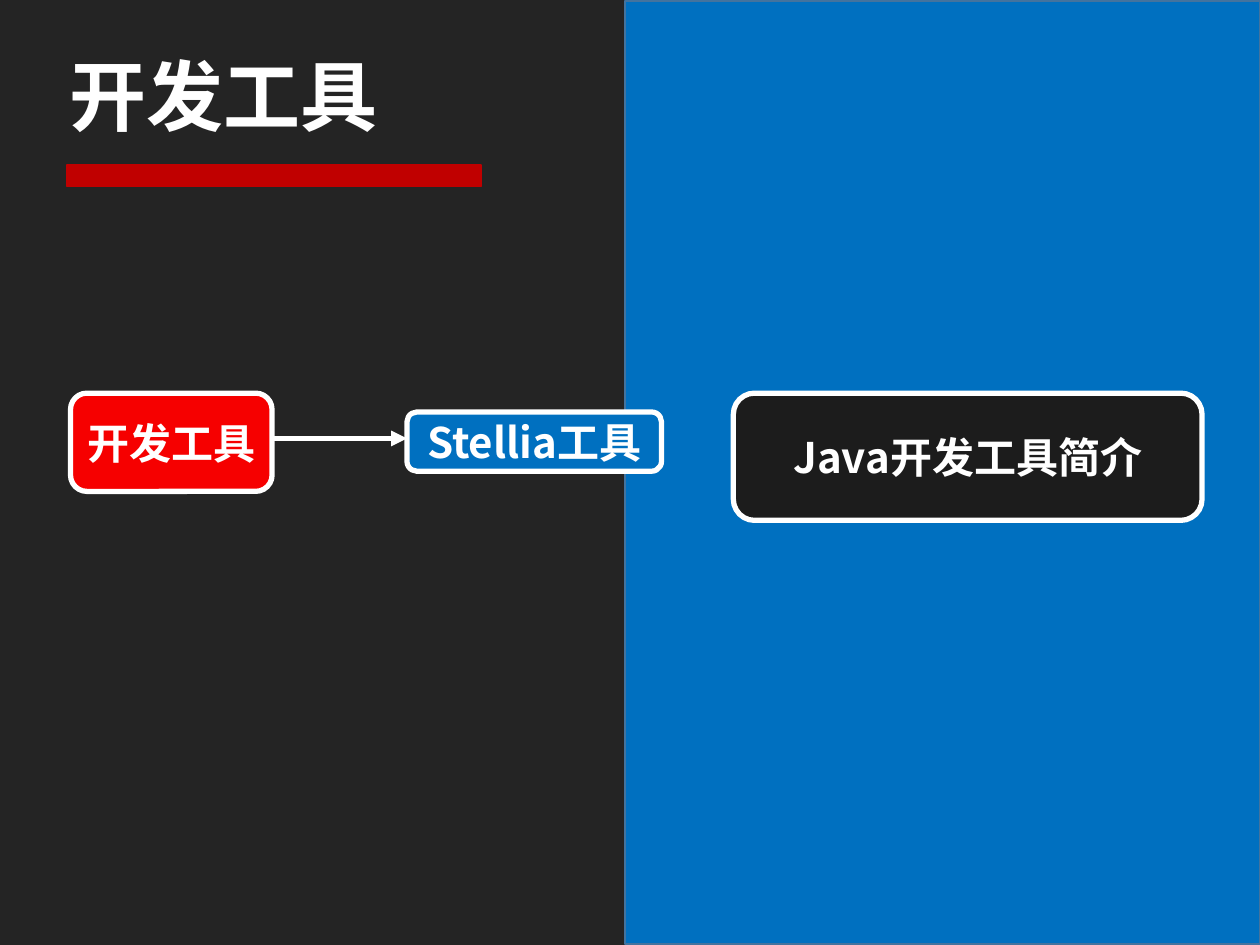
import pptx
import pptx.util
import pptx.dml.color
import pptx.enum.shapes
import pptx.enum.text
import pptx.oxml
import pptx.oxml.ns
from dataclasses import dataclass

WIDTH = pptx.util.Inches(10)
HEIGHT = pptx.util.Inches(7.5)
COLUMNS, ROWS = 100, 75
SHAPES = pptx.enum.shapes.MSO_SHAPE
ALIGN = pptx.enum.text.PP_ALIGN


@dataclass(frozen=True)
class Theme:
    font: str = "Noto Sans CJK SC"
    background: str = "242424"
    panel: str = "0070C0"
    panel_edge: str = "43739E"
    rule: str = "C00000"
    topic: str = "F60000"
    summary: str = "1C1C1C"
    light: str = "FFFFFF"
    title_size: int = 44
    label_size: int = 24
    thin: int = 1
    thick: int = 3


THEME = Theme()


def color(value):
    return pptx.dml.color.RGBColor.from_string(value)


def across(columns):
    return round(WIDTH * columns / COLUMNS)


def down(rows):
    return round(HEIGHT * rows / ROWS)


def area(left, top, width, height):
    return across(left), down(top), across(width), down(height)


def set_line(line, value, width):
    line.color.rgb = color(value)
    line.width = pptx.util.Pt(width)


def write(box, text, size, align):
    frame = box.text_frame
    frame.text = text
    frame.vertical_anchor = pptx.enum.text.MSO_ANCHOR.MIDDLE
    para = frame.paragraphs[0]
    para.alignment = align
    for span in para.runs:
        span.font.size = pptx.util.Pt(size)
        span.font.bold = True
        span.font.name = THEME.font
        span.font.color.rgb = color(THEME.light)
        east_asian = pptx.oxml.parse_xml(
            f'<a:ea {pptx.oxml.ns.nsdecls("a")} typeface="{THEME.font}"/>')
        span.font._element.find(pptx.oxml.ns.qn("a:latin")).addnext(east_asian)


def add_block(page, kind, place, fill, edge, width):
    box = page.shapes.add_shape(kind, *area(*place))
    box.shadow.inherit = False
    box.fill.solid()
    box.fill.fore_color.rgb = color(fill)
    set_line(box.line, edge, width)
    return box


def add_title(page, text, place):
    box = page.shapes.add_textbox(*area(*place))
    box.text_frame.word_wrap = True
    write(box, text, THEME.title_size, ALIGN.LEFT)


def add_node(page, text, place, fill):
    box = add_block(page, SHAPES.FLOWCHART_ALTERNATE_PROCESS, place, fill,
                    THEME.light, THEME.thick)
    frame = box.text_frame
    frame.word_wrap = False
    frame.margin_left = frame.margin_right = pptx.util.Inches(0.1)
    frame.margin_top = frame.margin_bottom = pptx.util.Inches(0.06)
    write(box, text, THEME.label_size, ALIGN.CENTER)


def add_arrow(page, start, end, row):
    arrow = page.shapes.add_connector(
        pptx.enum.shapes.MSO_CONNECTOR.STRAIGHT,
        across(start), down(row), across(end), down(row))
    set_line(arrow.line, THEME.light, THEME.thick)
    namespace = pptx.oxml.ns.nsdecls("a")
    arrow.line._get_or_add_ln().append(
        pptx.oxml.parse_xml(f'<a:tailEnd {namespace} type="triangle"/>'))
    arrow._element.spPr.append(
        pptx.oxml.parse_xml(f'<a:effectLst {namespace}/>'))


def main():
    deck = pptx.Presentation()
    deck.slide_width, deck.slide_height = WIDTH, HEIGHT
    page = deck.slides.add_slide(deck.slide_layouts[6])
    page.background.fill.solid()
    page.background.fill.fore_color.rgb = color(THEME.background)

    add_block(page, SHAPES.RECTANGLE, (49.6, 0.1, 50.4, 74.8),
              THEME.panel, THEME.panel_edge, THEME.thin)
    add_title(page, "开发工具", (4.5, 2.3, 90.9, 10.4))

    nodes = (
        ("开发工具", (5.6, 31.2, 16, 7.8), THEME.topic),
        ("Stellia工具", (32.3, 32.7, 20.2, 4.7), THEME.panel),
        ("Java开发工具简介", (58.2, 31.2, 37.2, 10.1), THEME.summary),
    )
    for text, place, fill in nodes:
        add_node(page, text, place, fill)

    topic, tool = nodes[0][1], nodes[1][1]
    add_arrow(page, topic[0] + topic[2], tool[0], 34.8)
    add_block(page, SHAPES.RECTANGLE, (5.3, 13.1, 32.9, 1.7),
              THEME.rule, THEME.rule, THEME.thin)
    deck.save("out.pptx")


main()
